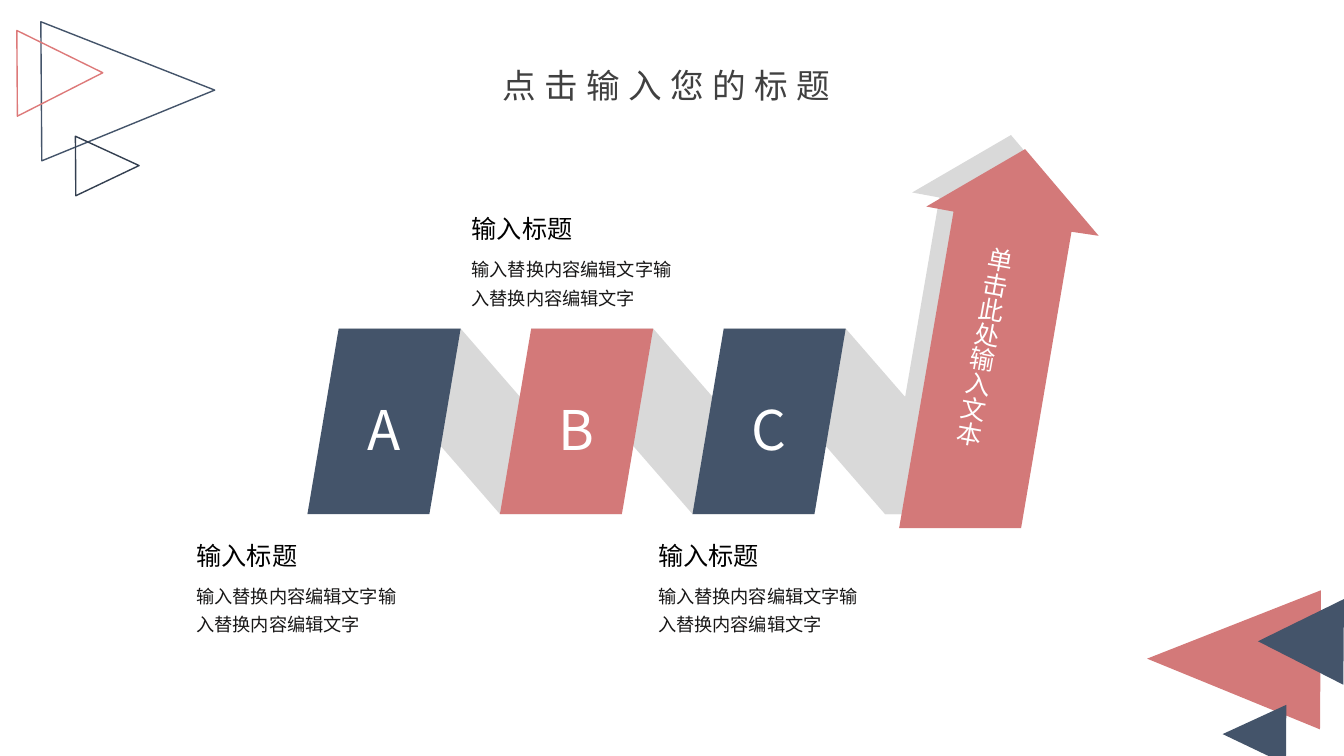
from dataclasses import dataclass, field
from typing import Any, Optional

from lxml import etree
from pptx import Presentation
from pptx.dml.color import RGBColor
from pptx.enum.shapes import MSO_SHAPE
from pptx.enum.text import MSO_ANCHOR, MSO_AUTO_SIZE, PP_ALIGN
from pptx.oxml.ns import qn
from pptx.util import Inches, Pt

TRIANGLE = MSO_SHAPE.ISOSCELES_TRIANGLE
TOP, MIDDLE = MSO_ANCHOR.TOP, MSO_ANCHOR.MIDDLE
LEFT, CENTER, JUSTIFY = PP_ALIGN.LEFT, PP_ALIGN.CENTER, PP_ALIGN.JUSTIFY
GROW = MSO_AUTO_SIZE.SHAPE_TO_FIT_TEXT

NAVY = RGBColor(0x44, 0x54, 0x6A)
DARK_NAVY = RGBColor(0x33, 0x3F, 0x50)
CORAL = RGBColor(0xD3, 0x79, 0x79)
BRIGHT_CORAL = RGBColor(0xDD, 0x79, 0x79)
GREY = RGBColor(0xD9, 0xD9, 0xD9)
WHITE = RGBColor(0xFF, 0xFF, 0xFF)
BLACK = RGBColor(0x00, 0x00, 0x00)
INK = RGBColor(0x18, 0x17, 0x17)
TITLE_INK = RGBColor(0x40, 0x40, 0x40)
FONT = "Noto Sans CJK SC"

# The slide is a grid of square cells, 40 columns by 22.5 rows
COLUMNS, ROWS = 40, 22.5
CELL = Inches(1) / 3

Point = tuple[float, float]
Box = tuple[float, float, float, float]


@dataclass
class Triangle:
    box: Box
    rotation: float
    color: RGBColor
    filled: bool


@dataclass
class Panel:
    letter: str
    color: RGBColor


@dataclass
class TextStyle:
    size: float
    color: RGBColor
    alignment: PP_ALIGN = LEFT
    anchor: MSO_ANCHOR = TOP
    inset: float = 0.15
    wrap: bool = True
    spacing: Optional[int] = None
    paragraph: dict[str, Any] = field(default_factory=dict)


TITLE = TextStyle(24, TITLE_INK, CENTER, MIDDLE, inset=0, spacing=600)
LETTER = TextStyle(39, WHITE, CENTER, MIDDLE, inset=0,
                   paragraph={"line_spacing": 1.2, "space_before": Pt(6)})
HEADING = TextStyle(18, BLACK, JUSTIFY)
BODY = TextStyle(13, INK, paragraph={"line_spacing": 1.3})
ARROW_TEXT = TextStyle(18, WHITE, wrap=False)

POINT_LEFT, POINT_RIGHT = 270.4, 89.6
TRIANGLES = [
    Triangle((34.65, 17.04, 4.14, 5.16), POINT_LEFT, CORAL, True),
    Triangle((36.45, 20.91, 1.77, 1.89), POINT_LEFT, NAVY, True),
    Triangle((37.44, 17.82, 2.55, 2.55), POINT_LEFT, NAVY, True),
    Triangle((1.74, 0.12, 4.14, 5.16), POINT_RIGHT, NAVY, False),
    Triangle((2.31, 3.99, 1.77, 1.89), POINT_RIGHT, DARK_NAVY, False),
    Triangle((0.51, 0.9, 2.55, 2.55), POINT_RIGHT, BRIGHT_CORAL, False),
]

# Slanted panels repeat at an equal pitch
PANELS = [Panel("A", NAVY), Panel("B", CORAL), Panel("C", NAVY)]
PANEL_LEFT, PANEL_TOP, PANEL_BOTTOM = 9.15, 9.78, 15.3
PANEL_WIDTH, PANEL_LEAN, PANEL_PITCH = 3.63, 0.93, 5.73

# Arrow outline, measured from its lower left corner
ARROW_OUTLINE = [(0, 0), (1.62, -9.42), (0.81, -9.57), (3.75, -11.28),
                 (5.94, -8.7), (5.13, -8.82), (PANEL_WIDTH, 0)]
ARROW_ORIGIN = (26.76, 15.72)
SHADE_OFFSET = 0.42

CAPTION_ORIGINS = [(5.7, 15.93), (13.89, 6.21), (19.44, 15.93)]
CAPTION_HEADING = "输入标题"
CAPTION_BODY = "输入替换内容编辑文字输入替换内容编辑文字"


def cells(count: float) -> int:
    return round(count * CELL)


def set_all(target: Any, values: dict[str, Any]) -> None:
    for name, value in values.items():
        setattr(target, name, value)


def place(shape: Any, box: Box) -> None:
    set_all(shape, dict(zip(("left", "top", "width", "height"), map(cells, box))))


def write(shape: Any, text: str, style: TextStyle) -> None:
    frame = shape.text_frame
    inset = cells(style.inset)
    set_all(frame, {
        "text": text, "word_wrap": style.wrap, "auto_size": GROW,
        "vertical_anchor": style.anchor,
        "margin_left": inset, "margin_right": inset,
        "margin_top": inset, "margin_bottom": inset,
    })
    paragraph = frame.paragraphs[0]
    set_all(paragraph, {"alignment": style.alignment, **style.paragraph})
    run = paragraph.runs[0]
    set_all(run.font, {"size": Pt(style.size), "name": FONT})
    run.font.color.rgb = style.color
    # East Asian typeface and letter spacing
    properties = run.font._element
    etree.SubElement(properties, qn("a:ea")).set("typeface", FONT)
    if style.spacing is not None:
        properties.set("spc", str(style.spacing))


def add_text(slide: Any, box: Box, text: str, style: TextStyle) -> Any:
    shape = slide.shapes.add_textbox(*map(cells, box))
    write(shape, text, style)
    return shape


def add_triangle(slide: Any, triangle: Triangle) -> None:
    shape = slide.shapes.add_shape(TRIANGLE, *map(cells, triangle.box))
    shape.rotation = triangle.rotation
    shape.shadow.inherit = False
    if triangle.filled:
        shape.fill.solid()
        shape.fill.fore_color.rgb = triangle.color
        shape.line.fill.background()
    else:
        shape.fill.background()
        shape.line.color.rgb = triangle.color
        shape.line.width = Pt(1)


def add_polygon(slide: Any, points: list[Point], color: RGBColor) -> None:
    start, *others = [(cells(x), cells(y)) for x, y in points]
    builder = slide.shapes.build_freeform(*start)
    builder.add_line_segments(others, close=True)
    shape = builder.convert_to_shape()
    shape.shadow.inherit = False
    shape.fill.solid()
    shape.fill.fore_color.rgb = color
    shape.line.fill.background()


def add_band(slide: Any, top_left: float, bottom_left: float, color: RGBColor) -> None:
    add_polygon(slide, [(bottom_left, PANEL_BOTTOM), (top_left, PANEL_TOP),
                        (top_left + PANEL_WIDTH, PANEL_TOP),
                        (bottom_left + PANEL_WIDTH, PANEL_BOTTOM)], color)


def add_arrow(slide: Any, offset: float, color: RGBColor) -> None:
    left, bottom = ARROW_ORIGIN
    add_polygon(slide, [(left + x - offset, bottom + y - offset)
                        for x, y in ARROW_OUTLINE], color)


def main() -> None:
    presentation = Presentation()
    presentation.slide_width = cells(COLUMNS)
    presentation.slide_height = cells(ROWS)
    slide = presentation.slides.add_slide(presentation.slide_layouts[5])

    # Title
    place(slide.shapes.title, (13.71, 1.89, 12.27, 1.29))
    write(slide.shapes.title, "点击输入您的标题", TITLE)

    # Corner triangles
    for triangle in TRIANGLES:
        add_triangle(slide, triangle)

    # Grey arrow shade and folds behind the panels
    panel_lefts = [PANEL_LEFT + index * PANEL_PITCH for index in range(len(PANELS))]
    add_arrow(slide, SHADE_OFFSET, GREY)
    for left in panel_lefts:
        add_band(slide, left + PANEL_LEAN, left + PANEL_PITCH, GREY)

    # Lettered panels
    for left, panel in zip(panel_lefts, PANELS):
        add_band(slide, left + PANEL_LEAN, left, panel.color)
        add_text(slide, (left + 0.78, 11.49, 3, 2.13), panel.letter, LETTER)

    # Arrow with vertical text
    add_arrow(slide, 0, CORAL)
    label = add_text(slide, (28.86, 7.05, 1.05, 6.33), "单击此处输入文本", ARROW_TEXT)
    label.rotation = 10.2
    label.text_frame._txBody.bodyPr.set("vert", "eaVert")

    # Captions
    for left, top in CAPTION_ORIGINS:
        add_text(slide, (left, top + 1.14, 6.72, 1.92), CAPTION_BODY, BODY)
        add_text(slide, (left, top, 6.36, 1.29), CAPTION_HEADING, HEADING)

    presentation.save("out.pptx")


if __name__ == "__main__":
    main()
